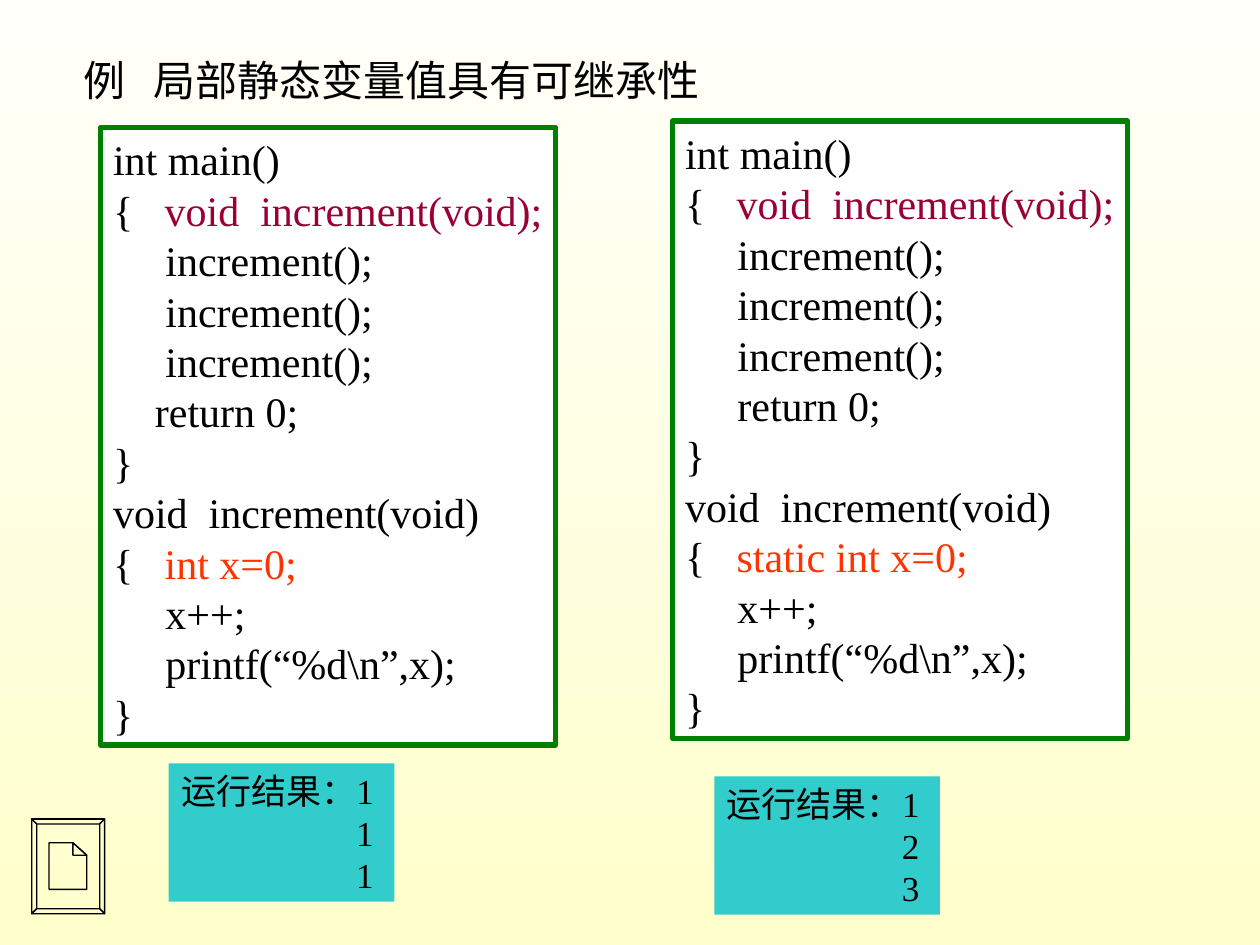
from pptx import Presentation
from pptx.dml.color import RGBColor
from pptx.enum.shapes import MSO_SHAPE as Shape
from pptx.enum.text import MSO_ANCHOR as Anchor, PP_ALIGN as Align
from pptx.util import Cm, Pt


def color(code):
    return RGBColor.from_string(code)


def write(shape, lines, size, tints):
    """Fill a shape with lines, each a list of runs; tints maps run text to colour."""
    frame = shape.text_frame
    looks = {"word_wrap": False, "vertical_anchor": Anchor.TOP,
             "margin_left": Cm(0.25), "margin_right": Cm(0.25),
             "margin_top": Cm(0.13), "margin_bottom": Cm(0.13)}
    for name, value in looks.items():
        setattr(frame, name, value)
    for i, line in enumerate(lines):
        para = frame.paragraphs[0] if i == 0 else frame.add_paragraph()
        para.alignment = Align.LEFT
        para.line_spacing = Pt(size * 1.2)
        for text in line:
            run = para.add_run()
            run.text = text
            for name, value in {"name": "Times New Roman", "size": Pt(size)}.items():
                setattr(run.font, name, value)
            run.font.color.rgb = color(tints.get(text, "000000"))


deck = Presentation()
deck.slide_width, deck.slide_height = Cm(25.4), Cm(19.05)
slide = deck.slides.add_slide(deck.slide_layouts[5])

# Background
fill = slide.background.fill
fill.gradient()
fill.gradient_angle = 270
for stop, code in zip(fill.gradient_stops, ("FFFFFA", "FFFFCC")):
    stop.color.rgb = color(code)

# Title
title = slide.shapes.title
place = {"left": Cm(1.43), "top": Cm(0.97), "width": Cm(12.93), "height": Cm(1.27)}
for name, value in place.items():
    setattr(title, name, value)
write(title, [["例   局部静态变量值具有可继承性"]], 24, {})

# Programs: left, top, return indent, declaration of x
proto = "void  increment(void);"
for left, top, pad, decl in ((2.03, 2.57, " " * 4, "int x=0;"),
                             (13.56, 2.44, " " * 5, "static int x=0;")):
    code = [["int main()"], ["{   ", proto]]
    code += [["     increment();"]] * 3
    code += [[pad + "return 0;"], ["}"], ["void  increment(void)"], ["{   ", decl],
             ["     x++;"], ["     printf(“%d\\n”,x);"], ["}"]]
    box = slide.shapes.add_shape(Shape.RECTANGLE, Cm(left), Cm(top), Cm(9.17), Cm(12.45))
    box.shadow.inherit = False
    box.fill.solid()
    box.fill.fore_color.rgb = color("FFFFFF")
    box.line.color.rgb = color("008000")
    box.line.width = Pt(3)
    write(box, code, 24, {proto: "990033", decl: "FF3300"})

# Printed results
for left, top, nums in ((3.4, 15.39, "111"), (14.4, 15.65, "123")):
    box = slide.shapes.add_shape(Shape.RECTANGLE, Cm(left), Cm(top), Cm(4.55), Cm(2.79))
    box.shadow.inherit = False
    box.fill.solid()
    box.fill.fore_color.rgb = color("33CCCC")
    box.line.fill.background()
    write(box, [["运行结果：" + nums[0]], [nums[1]], [nums[2]]], 20, {})
    box.text_frame.word_wrap = True
    box.text_frame.margin_right = 0
    for para in box.text_frame.paragraphs[1:]:
        para._p.get_or_add_pPr().set("marL", str(Cm(3.53)))

# Document button, in hundredths of a centimetre
x1, y1, x2, y2, rim = 64, 1651, 211, 1842, 10
outer = [(x1, y1), (x2, y1), (x2, y2), (x1, y2)]
inner = [(x1 + rim, y1 + rim), (x2 - rim, y1 + rim),
         (x2 - rim, y2 - rim), (x1 + rim, y2 - rim)]
page = [(99, 1699), (147, 1699), (175, 1724), (175, 1793), (99, 1793)]
fold = [(147, 1699), (175, 1724), (147, 1724)]
sides = [[outer[i], outer[(i + 1) % 4], inner[(i + 1) % 4], inner[i]] for i in range(4)]
pen = slide.shapes.build_freeform(*outer[0], scale=Cm(1) / 100)
pen.add_line_segments(outer[1:], close=True)
for path in sides + [page, fold]:
    pen.move_to(*path[0])
    pen.add_line_segments(path[1:], close=True)
icon = pen.convert_to_shape()
icon.shadow.inherit = False
icon.fill.background()
icon.line.color.rgb = color("000000")
icon.line.width = Pt(0.75)

deck.save("out.pptx")
